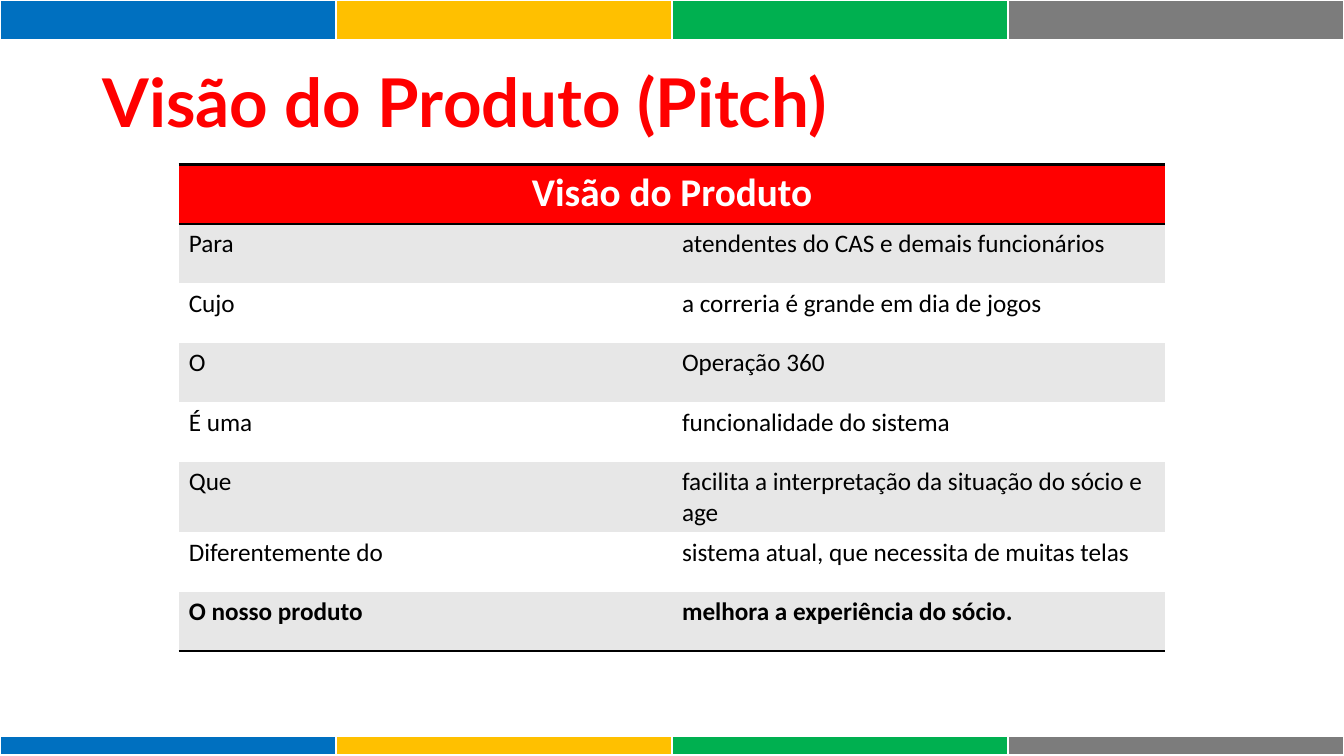
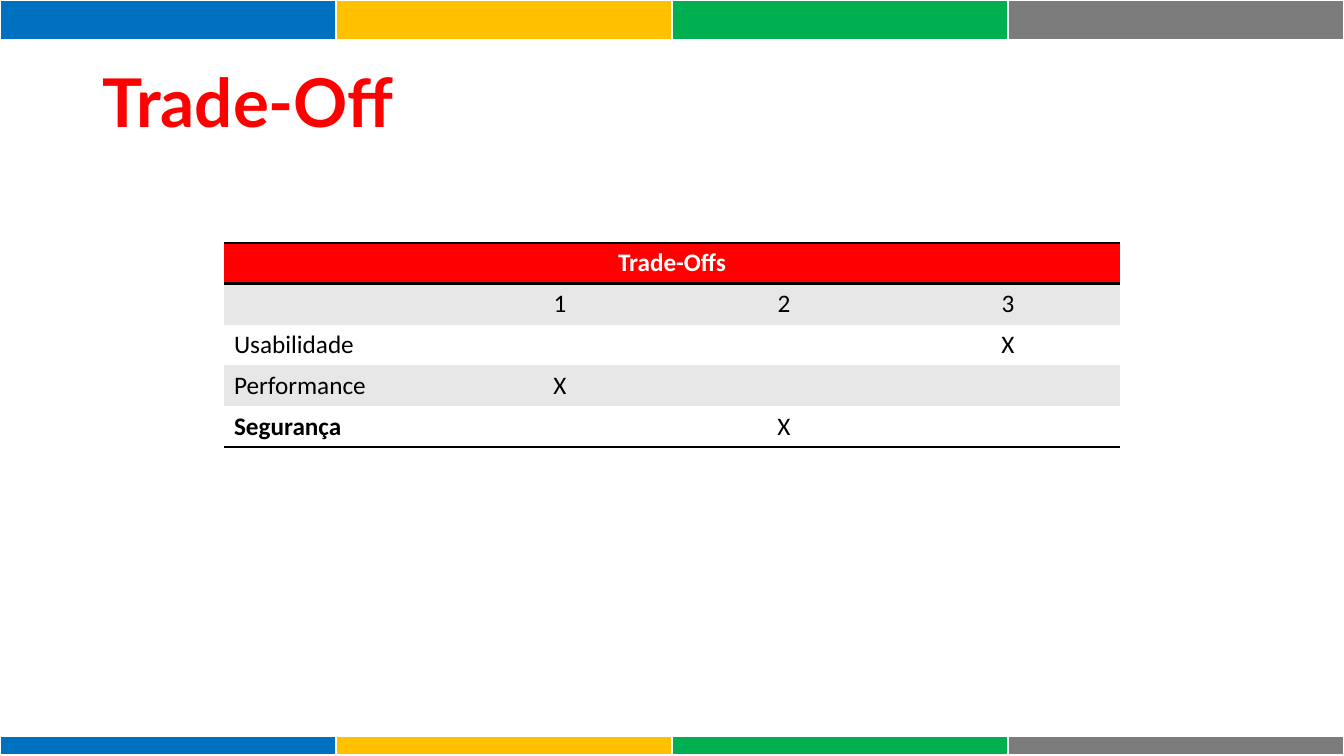
from lxml import etree
from pptx import Presentation, util as u
from pptx.dml.color import RGBColor
from pptx.enum import text
from pptx.oxml.ns import qn

RED = RGBColor(0xFF, 0x00, 0x00)
BLACK = RGBColor(0x00, 0x00, 0x00)
WHITE = RGBColor(0xFF, 0xFF, 0xFF)
LIGHT = RGBColor(0xE7, 0xE7, 0xE7)
BAND_COLORS = [RGBColor(0x00, 0x70, 0xC0), RGBColor(0xFF, 0xC0, 0x00),
               RGBColor(0x00, 0xB0, 0x50), RGBColor(0x7C, 0x7C, 0x7C)]
TITLE_FONT, BODY_FONT = "Lato", "Calibri"
PLAIN_STYLE = "{2D5ABB26-0587-4C30-8999-92F81FD0307C}"

presentation = Presentation()
presentation.slide_width = u.Inches(13.33)
presentation.slide_height = u.Inches(7.5)
WIDTH, HEIGHT = presentation.slide_width, presentation.slide_height


def add_plain_table(slide, rows, columns, top, width, row_height):
    """Add an unstyled table, centred across the slide."""
    frame = slide.shapes.add_table(rows, columns, (WIDTH - width) // 2, u.Inches(top),
                                   width, u.Inches(row_height) * rows)
    table = frame.table
    table._tbl.tblPr.find(qn("a:tableStyleId")).text = PLAIN_STYLE
    for row in table.rows:
        row.height = u.Inches(row_height)
    return table


def paint_cell(cell, fill, borders):
    """Fill a cell and draw borders, given as {side: (color, points)}."""
    properties = cell._tc.get_or_add_tcPr()
    for side in "LRTB":
        if side in borders:
            color, points = borders[side]
            line = etree.SubElement(properties, qn(f"a:ln{side}"), w=str(u.Pt(points)))
            solid = etree.SubElement(line, qn("a:solidFill"))
            etree.SubElement(solid, qn("a:srgbClr"), val=str(color))
    cell.fill.solid()
    cell.fill.fore_color.rgb = fill


# Content: title, table geometry, header size, rows and bold cells
pages = [
    {"title": "Visão do Produto (Pitch)", "header": "Visão do Produto", "header_size": 28,
     "top": 1.63, "share": 0.734, "row_height": 0.59, "centre_from": 2,
     "bold": {(7, 0), (7, 1)},
     "rows": [("Para", "atendentes do CAS e demais funcionários"),
              ("Cujo", "a correria é grande em dia de jogos"),
              ("O", "Operação 360"),
              ("É uma", "funcionalidade do sistema"),
              ("Que", "facilita a interpretação da situação do sócio e age"),
              ("Diferentemente do", "sistema atual, que necessita de muitas telas"),
              ("O nosso produto", "melhora a experiência do sócio.")]},
    {"title": "Trade-Off", "header": "Trade-Offs", "header_size": 18,
     "top": 2.41, "share": 4 / 6, "row_height": 0.405, "centre_from": 1,
     "bold": {(4, 0)},
     "rows": [("", "1", "2", "3"),
              ("Usabilidade", "", "", "X"),
              ("Performance", "X", "", ""),
              ("Segurança", "", "X", "")]},
]

for page in pages:
    slide = presentation.slides.add_slide(presentation.slide_layouts[6])

    # Title
    title = slide.shapes.add_textbox(u.Inches(0.92), u.Inches(0.64),
                                     u.Inches(8.31), u.Inches(0.92))
    title.text_frame.word_wrap = True
    paragraph = title.text_frame.paragraphs[0]
    paragraph.line_spacing = 0.9
    run = paragraph.add_run()
    run.text = page["title"]
    run.font.name, run.font.size, run.font.bold = TITLE_FONT, u.Pt(48), True
    run.font.color.rgb = RED

    # Main table: merged red header over striped rows
    columns = len(page["rows"][0])
    header = (page["header"],) + ("",) * (columns - 1)
    grid = [header] + page["rows"]
    last = len(grid) - 1
    table = add_plain_table(slide, len(grid), columns, page["top"],
                            int(WIDTH * page["share"]), page["row_height"])
    table.cell(0, 0).merge(table.cell(0, columns - 1))
    for r, values in enumerate(grid):
        for c, value in enumerate(values):
            cell = table.cell(r, c)
            rule = (BLACK, 2)
            borders = {"T": rule, "B": rule} if r == 0 else {"B": rule} if r == last else {}
            paint_cell(cell, RED if r == 0 else LIGHT if r % 2 else WHITE, borders)
            if not value:
                continue
            paragraph = cell.text_frame.paragraphs[0]
            if r == 0 or c >= page["centre_from"]:
                paragraph.alignment = text.PP_ALIGN.CENTER
            run = paragraph.add_run()
            run.text = value
            run.font.name = BODY_FONT
            run.font.size = u.Pt(page["header_size"] if r == 0 else 18)
            run.font.bold = r == 0 or (r, c) in page["bold"]
            run.font.color.rgb = WHITE if r == 0 else BLACK

    # Colour bands along the top and bottom edges
    for top, height in ((0, 0.41), (7.31, 0.19)):
        band = add_plain_table(slide, 1, len(BAND_COLORS), top, WIDTH, height)
        for c, color in enumerate(BAND_COLORS):
            cell = band.cell(0, c)
            cell.margin_top = cell.margin_bottom = 0
            paint_cell(cell, color, {"L": (WHITE, 1), "R": (WHITE, 1),
                                     "T": (WHITE, 1), "B": (WHITE, 3)})
            # A small empty line lets the row keep its height
            etree.SubElement(cell.text_frame.paragraphs[0]._p, qn("a:endParaRPr"), sz="800")

presentation.save("out.pptx")
